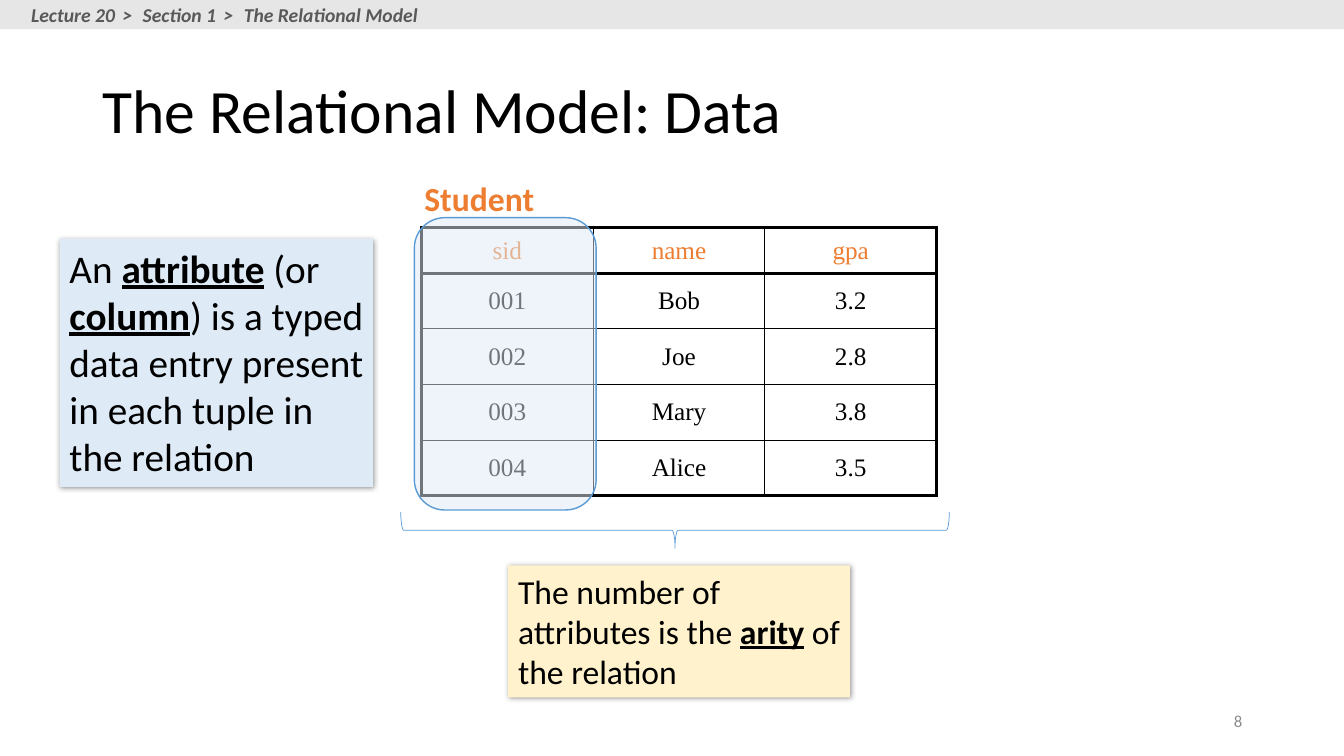
from dataclasses import dataclass

from lxml import etree
from pptx import Presentation
from pptx import util as u
from pptx.dml import color
from pptx.enum import shapes, text
from pptx.oxml import ns


@dataclass(frozen=True)
class Theme:
    ink: str = "000000"
    accent: str = "ED7D31"
    outline: str = "5B9BD5"
    blue: str = "DEEBF7"
    yellow: str = "FFF2CC"
    bar: str = "E7E6E6"
    crumb: str = "595959"
    muted: str = "8C8C8C"
    sans: str = "Calibri"
    serif: str = "Times New Roman"
    title_size: int = 44
    definition_size: int = 28
    label_size: int = 24
    cell_size: int = 18
    crumb_size: int = 14
    number_size: int = 12
    thick: float = 2.25
    thin: float = 1


THEME = Theme()
STUDENTS = [
    ("sid", "name", "gpa"),
    ("001", "Bob", "3.2"),
    ("002", "Joe", "2.8"),
    ("003", "Mary", "3.8"),
    ("004", "Alice", "3.5"),
]
TERM = {"bold": True, "underline": True}


def inches(box):
    return [u.Inches(length) for length in box]


def rgb(value):
    return color.RGBColor.from_string(value)


def apply(target, values):
    for name, value in values.items():
        setattr(target, name, value)


def sub(parent, tag, **attributes):
    return etree.SubElement(parent, ns.qn(tag), attributes)


# Text: each run is a (wording, format values) pair
def write(frame, runs, size, ink=THEME.ink, font=THEME.sans, paragraph=None, **frame_values):
    apply(frame, {"word_wrap": True, **frame_values})
    line = frame.paragraphs[0]
    apply(line, {"alignment": text.PP_ALIGN.LEFT, **(paragraph or {})})
    for wording, values in runs:
        run = line.add_run()
        run.text = wording
        apply(run.font, {"name": font, "size": u.Pt(size), **values})
        run.font.color.rgb = rgb(ink)
    return line


def add_text(slide, box, runs, size, **values):
    return write(slide.shapes.add_textbox(*inches(box)).text_frame, runs, size, **values)


def add_panel(slide, box, preset, fill=None, line=None, width=1):
    panel = slide.shapes.add_shape(preset, *inches(box))
    panel.shadow.inherit = False
    if fill:
        panel.fill.solid()
        panel.fill.fore_color.rgb = rgb(fill)
    else:
        panel.fill.background()
    if line:
        panel.line.color.rgb = rgb(line)
        panel.line.width = u.Pt(width)
    else:
        panel.line.fill.background()
    return panel


# Breadcrumb bar across the top
def add_breadcrumb(slide, box, steps):
    left, top, width, height = box
    add_panel(slide, box, shapes.MSO_SHAPE.RECTANGLE, THEME.bar)
    style = {"bold": True, "italic": True}
    runs = [(steps[0], style)]
    for step in steps[1:]:
        runs += [(" > ", style), (step, style)]
    trail = add_text(slide, (left + 0.21, top - 0.02, 4.06, height + 0.05), runs,
                     THEME.crumb_size, ink=THEME.crumb, word_wrap=False)
    for separator in trail.runs[1::2]:
        separator.font._element.set("spc", "210")


# Shadowed note that defines a term
def add_definition(slide, box, runs, size, fill):
    note = add_panel(slide, box, shapes.MSO_SHAPE.RECTANGLE, fill)
    effects = note._element.spPr.find(ns.qn("a:effectLst"))
    shadow = sub(effects, "a:outerShdw", blurRad=str(u.Pt(4)), dist=str(u.Pt(1)),
                 dir="2700000", algn="tl", rotWithShape="0")
    sub(sub(shadow, "a:srgbClr", val=THEME.ink), "a:alpha", val="40000")
    write(note.text_frame, runs, size, vertical_anchor=text.MSO_ANCHOR.TOP)


def set_borders(cell, widths):
    properties = cell._tc.get_or_add_tcPr()
    for side, width in widths.items():
        border = sub(properties, f"a:ln{side}", w=str(u.Pt(width)))
        sub(sub(border, "a:solidFill"), "a:srgbClr", val=THEME.ink)


# Relation: name above, thick frame and header rule, thin inner lines
def add_relation(slide, box, name, rows, header_height=0.45):
    left, top, width, height = box
    last_row, last_column = len(rows) - 1, len(rows[0]) - 1
    table = slide.shapes.add_table(len(rows), len(rows[0]), *inches(box)).table
    apply(table, {"first_row": False, "horz_banding": False})
    for column in table.columns:
        column.width = u.Inches(width / len(rows[0]))
    for r, row in enumerate(table.rows):
        row.height = u.Inches((height - header_height) / last_row if r else header_height)
        for c, cell in enumerate(row.cells):
            thick_sides = {"L": c == 0, "R": c == last_column,
                           "T": r <= 1, "B": r in (0, last_row)}
            set_borders(cell, {side: THEME.thick if thick else THEME.thin
                               for side, thick in thick_sides.items()})
            cell.fill.background()
            cell.vertical_anchor = text.MSO_ANCHOR.MIDDLE
            write(cell.text_frame, [(rows[r][c], {})], THEME.cell_size,
                  ink=THEME.ink if r else THEME.accent, font=THEME.serif,
                  paragraph={"alignment": text.PP_ALIGN.CENTER})
    add_text(slide, (left - 0.07, top - 0.54, 1.31, 0.5), [(name, {"bold": True})],
             THEME.label_size, ink=THEME.accent, word_wrap=False)


# Marks on the relation: first column highlighted, brace under all columns
def add_relation_marks(slide, box, columns):
    left, top, width, height = box
    highlight = add_panel(
        slide, (left - 0.07, top - 0.1, width / columns + 0.1, height + 0.24),
        shapes.MSO_SHAPE.ROUNDED_RECTANGLE, THEME.blue, THEME.outline)
    tint = highlight._element.spPr.find(ns.qn("a:solidFill"))[0]
    sub(tint, "a:alpha", val="50000")

    depth, span = 0.36, width + 0.33
    middle_x, middle_y = left + width / 2 - 0.04, top + height + 0.34
    brace = add_panel(slide, (middle_x - depth / 2, middle_y - span / 2, depth, span),
                      shapes.MSO_SHAPE.LEFT_BRACE, line=THEME.outline, width=0.5)
    brace.rotation = 270


def build_relation_slide(slide):
    middle = text.MSO_ANCHOR.MIDDLE
    add_text(slide, (9.42, 6.95, 3, 0.4), [("8", {})], THEME.number_size, ink=THEME.muted,
             paragraph={"alignment": text.PP_ALIGN.RIGHT}, vertical_anchor=middle)
    add_text(slide, (0.92, 0.4, 11.5, 1.45), [("The Relational Model: Data", {})],
             THEME.title_size, paragraph={"line_spacing": 0.9}, vertical_anchor=middle)
    relation_box = (4.18, 2.26, 5.11, 2.66)
    add_relation(slide, relation_box, "Student", STUDENTS)
    add_definition(slide, (0.59, 2.37, 3.11, 2.46), [
        ("An ", {}), ("attribute", TERM), (" (or ", {}), ("column", TERM),
        (") is a typed data entry present in each tuple in the relation", {}),
    ], THEME.definition_size, THEME.blue)
    add_definition(slide, (5.04, 5.61, 3.39, 1.31), [
        ("The number of attributes is the ", {}), ("arity", TERM), (" of the relation", {}),
    ], THEME.label_size, THEME.yellow)
    add_relation_marks(slide, relation_box, len(STUDENTS[0]))
    add_breadcrumb(slide, (0, 0, 13.33, 0.29),
                   ["Lecture 20", "Section 1", "The Relational Model"])


def main():
    deck = Presentation()
    apply(deck, {"slide_width": u.Inches(13.33), "slide_height": u.Inches(7.5)})
    build_relation_slide(deck.slides.add_slide(deck.slide_layouts[6]))
    deck.save("out.pptx")


if __name__ == "__main__":
    main()
